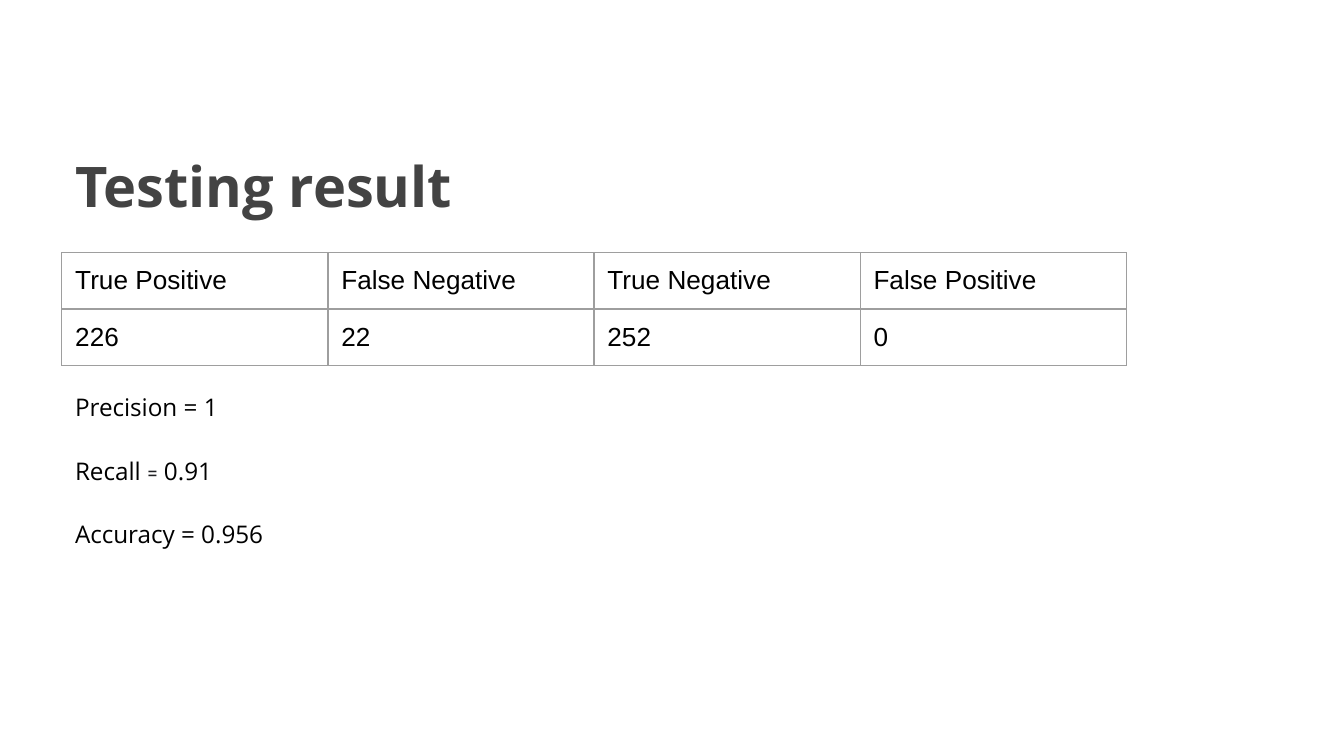
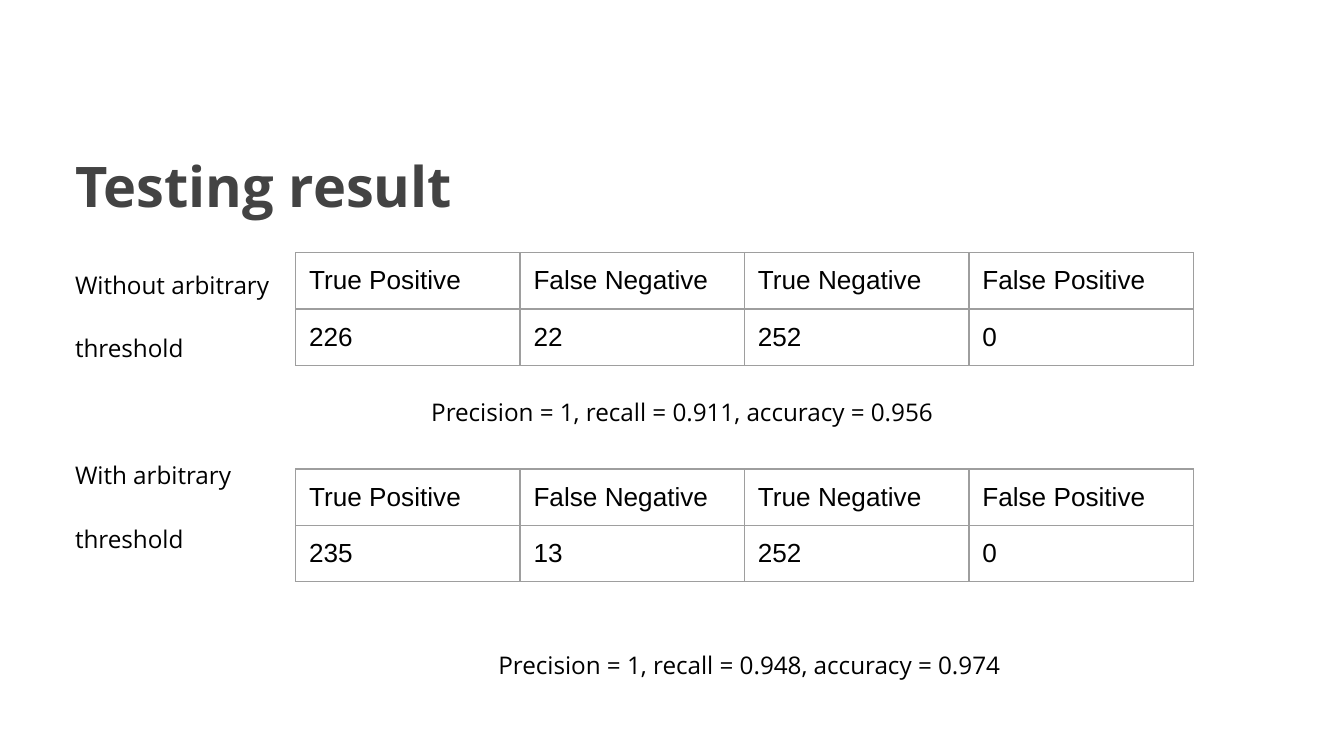
from dataclasses import dataclass
from typing import NamedTuple

import pptx
import pptx.dml.color
import pptx.enum.text
import pptx.oxml.ns
import pptx.util
from lxml import etree

Inches = pptx.util.Inches
Pt = pptx.util.Pt


class Face(NamedTuple):
    font: str
    size: float
    color: str
    bold: bool = False


@dataclass(frozen=True)
class Theme:
    paper: str = "FFFFFF"
    rule: str = "9E9E9E"
    rule_width: float = 0.75
    title: Face = Face("Open Sans", 30, "434343", True)
    body: Face = Face("Open Sans", 13, "000000")
    sign: Face = Face("Roboto", 10.5, "202124")
    cell: Face = Face("Arial", 14, "000000")
    leading: float = 1.15
    gap: float = 16
    wide_gap: float = 50


THEME = Theme()
LEFT = 0.46
WIDTH = 8.41
ROW = 0.42
PAD = Inches(0.1)
HEADS = ("True Positive", "False Negative", "True Negative", "False Positive")


class Run(NamedTuple):
    text: str
    face: Face = THEME.body


class Line(NamedTuple):
    runs: tuple[Run, ...]
    indent: float = 0
    before: float = THEME.gap


class Grid(NamedTuple):
    left: float
    top: float
    col: float
    counts: tuple[int, ...]


class Page(NamedTuple):
    top: float
    height: float
    lines: tuple[Line, ...]
    grids: tuple[Grid, ...]


def plain(text: str, indent: float = 0, before: float = THEME.gap) -> Line:
    return Line((Run(text),), indent, before)


PAGES = (
    Page(
        top=2.79,
        height=1.56,
        lines=(
            plain("Precision = 1", before=0),
            Line((Run("Recall "), Run("=", THEME.sign), Run(" 0.91"))),
            plain("Accuracy = 0.956"),
        ),
        grids=(Grid(LEFT, 1.88, 1.98, (226, 22, 252, 0)),),
    ),
    Page(
        top=1.88,
        height=2.47,
        lines=(
            plain("Without arbitrary", before=0),
            plain("threshold"),
            plain("Precision = 1, recall = 0.911, accuracy = 0.956", indent=2.65),
            plain("With arbitrary"),
            plain("threshold"),
            plain("Precision = 1, recall = 0.948, accuracy = 0.974",
                  indent=3.15, before=THEME.wide_gap),
        ),
        grids=(
            Grid(2.2, 1.88, 1.67, (226, 22, 252, 0)),
            Grid(2.2, 3.49, 1.67, (235, 13, 252, 0)),
        ),
    ),
)


def add_run(para, text: str, face: Face) -> None:
    run = para.add_run()
    run.text = text
    run.font.name = face.font
    run.font.size = Pt(face.size)
    run.font.bold = face.bold
    run.font.color.rgb = pptx.dml.color.RGBColor.from_string(face.color)


def set_frame(frame) -> None:
    frame.word_wrap = True
    frame.auto_size = pptx.enum.text.MSO_AUTO_SIZE.NONE
    frame.vertical_anchor = pptx.enum.text.MSO_ANCHOR.TOP
    frame.margin_left = frame.margin_right = PAD
    frame.margin_top = frame.margin_bottom = PAD


def add_title(slide, text: str) -> None:
    title = slide.shapes.title
    title.left, title.top = Inches(LEFT), Inches(1.03)
    title.width, title.height = Inches(WIDTH), Inches(0.76)
    set_frame(title.text_frame)
    para = title.text_frame.paragraphs[0]
    para.alignment = pptx.enum.text.PP_ALIGN.LEFT
    add_run(para, text, THEME.title)


def add_body(slide, page: Page) -> None:
    box = slide.shapes.add_textbox(Inches(LEFT), Inches(page.top),
                                   Inches(WIDTH), Inches(page.height))
    frame = box.text_frame
    set_frame(frame)
    for num, line in enumerate(page.lines):
        para = frame.add_paragraph() if num else frame.paragraphs[0]
        para.line_spacing = THEME.leading
        para.space_before = Pt(line.before)
        if line.indent:
            para._p.get_or_add_pPr().set("marL", str(Inches(line.indent)))
        for run in line.runs:
            add_run(para, run.text, run.face)


def add_rules(cell) -> None:
    """Draw a thin line on all four sides of a cell."""
    qn = pptx.oxml.ns.qn
    props = cell._tc.get_or_add_tcPr()
    for side in ("lnL", "lnR", "lnT", "lnB"):
        edge = etree.SubElement(props, qn(f"a:{side}"),
                                w=str(Pt(THEME.rule_width)))
        fill = etree.SubElement(edge, qn("a:solidFill"))
        etree.SubElement(fill, qn("a:srgbClr"), val=THEME.rule)


def add_grid(slide, grid: Grid) -> None:
    rows = (HEADS, grid.counts)
    table = slide.shapes.add_table(
        len(rows), len(HEADS), Inches(grid.left), Inches(grid.top),
        Inches(grid.col * len(HEADS)), Inches(ROW * len(rows))).table
    table.first_row = table.horz_banding = False
    for col in table.columns:
        col.width = Inches(grid.col)
    for row, values in zip(table.rows, rows):
        row.height = Inches(ROW)
        for cell, value in zip(row.cells, values):
            cell.margin_left = cell.margin_right = PAD
            cell.margin_top = cell.margin_bottom = PAD
            add_rules(cell)
            cell.fill.background()
            add_run(cell.text_frame.paragraphs[0], str(value), THEME.cell)


def main() -> None:
    deck = pptx.Presentation()
    deck.slide_width = Inches(10)
    deck.slide_height = Inches(10 * 9 / 16)
    layout = deck.slide_layouts.get_by_name("Title Only")
    for page in PAGES:
        slide = deck.slides.add_slide(layout)
        back = slide.background.fill
        back.solid()
        back.fore_color.rgb = pptx.dml.color.RGBColor.from_string(THEME.paper)
        add_body(slide, page)
        add_title(slide, "Testing result")
        for grid in page.grids:
            add_grid(slide, grid)
    deck.save("out.pptx")


if __name__ == "__main__":
    main()
